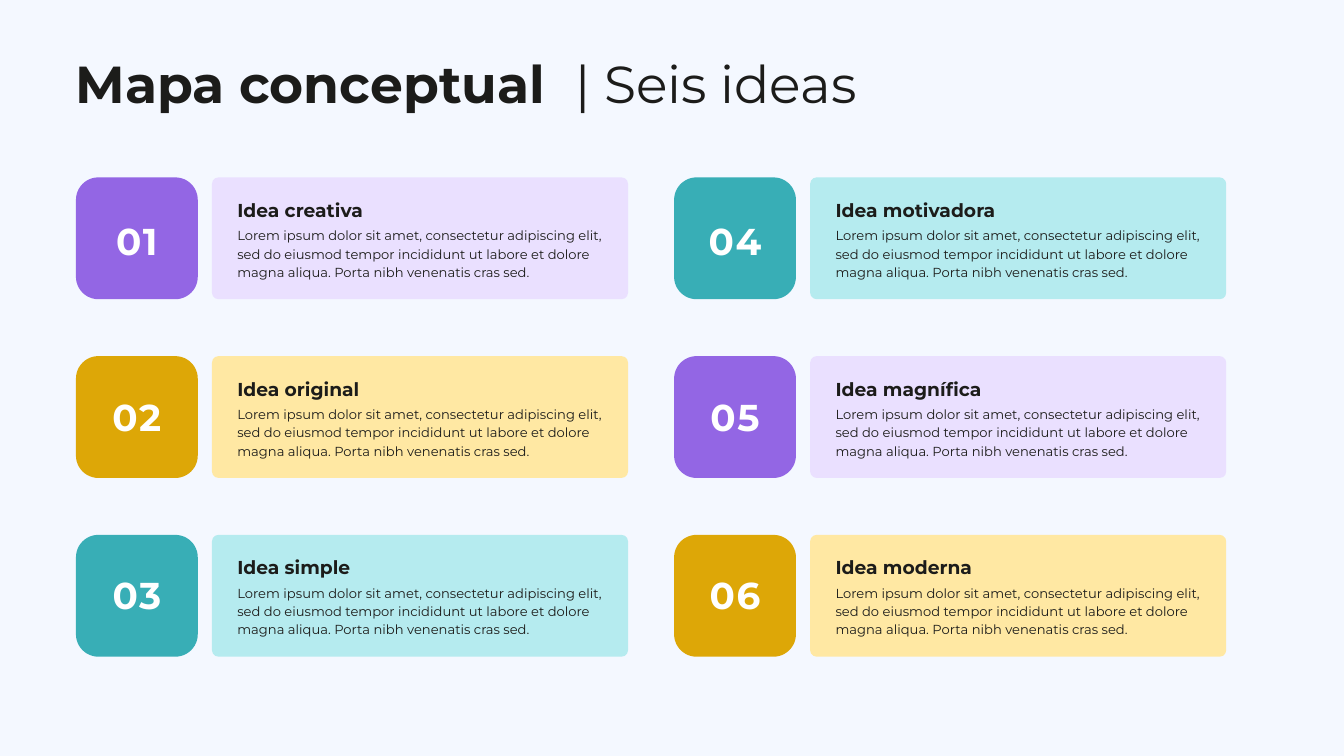
import pptx
import pptx.util
import pptx.dml.color
import pptx.enum.shapes
import pptx.enum.text

Pt = pptx.util.Pt
FONT = "Montserrat"
COLORS = {
    "back": "F4F8FF", "ink": "1C1C1A", "white": "FFFFFF",
    "violet": "9366E4", "lilac": "EAE0FF",
    "gold": "DDA707", "cream": "FFE8A3",
    "teal": "38AEB6", "aqua": "B5EBEF",
}
BODY = ("Lorem ipsum dolor sit amet, consectetur adipiscing elit, sed do "
        "eiusmod tempor incididunt ut labore et dolore magna aliqua. "
        "Porta nibh venenatis cras sed.")
# Ideas run down the first column, then down the second
IDEAS = [
    ("Idea creativa", "violet", "lilac"),
    ("Idea original", "gold", "cream"),
    ("Idea simple", "teal", "aqua"),
    ("Idea motivadora", "teal", "aqua"),
    ("Idea magnífica", "violet", "lilac"),
    ("Idea moderna", "gold", "cream"),
]
ROWS = 3
LEFT, TOP = 81.4, 190.1
COL_STEP, ROW_STEP = 640.9, 191.5
TILE, BAR_DX, BAR_W = 130.5, 145.7, 445.8
TEXT_DX = 172.9


def color(name):
    return pptx.dml.color.RGBColor.from_string(COLORS[name])


def fill_text(shape, text, size, line, bold=False, ink="ink", align="LEFT"):
    frame = shape.text_frame
    frame.text = text
    frame.word_wrap = True
    frame.auto_size = pptx.enum.text.MSO_AUTO_SIZE.NONE
    frame.vertical_anchor = pptx.enum.text.MSO_ANCHOR.TOP
    frame.margin_left = frame.margin_right = 0
    frame.margin_top = frame.margin_bottom = 0
    para = frame.paragraphs[0]
    para.alignment = getattr(pptx.enum.text.PP_ALIGN, align)
    para.line_spacing = Pt(line)
    font = para.runs[0].font
    font.name, font.size, font.bold = FONT, Pt(size), bold
    font.color.rgb = color(ink)
    return para.runs[0]


def add_text(slide, box, *args, **style):
    shape = slide.shapes.add_textbox(*map(Pt, box))
    return fill_text(shape, *args, **style)


def add_panel(slide, box, radius, fill):
    shape = slide.shapes.add_shape(
        pptx.enum.shapes.MSO_SHAPE.ROUNDED_RECTANGLE, *map(Pt, box))
    shape.adjustments[0] = radius / min(box[2:])
    shape.fill.solid()
    shape.fill.fore_color.rgb = color(fill)
    shape.line.fill.background()
    shape.shadow.inherit = False


def add_title(slide):
    title = slide.shapes.title
    title.left, title.top = Pt(81), Pt(63.4)
    title.width, title.height = Pt(555), Pt(62)
    fill_text(title, "Mapa conceptual", 55.7, 59, bold=True)
    add_text(slide, (616.3, 63.4, 555, 62), "| Seis ideas", 55.7, 59)


def add_idea(slide, index, name, dark, light):
    col, row = divmod(index, ROWS)
    x, y = LEFT + col * COL_STEP, TOP + row * ROW_STEP
    # Number tile and text bar
    add_panel(slide, (x, y, TILE, TILE), 24, dark)
    add_panel(slide, (x + BAR_DX, y, BAR_W, TILE), 7, light)
    # Number, set a little lower in the first row
    drop = 32.4 if row else 36
    run = add_text(slide, (x, y + drop, TILE, 52.6), f"{index + 1:02}",
                   40, 56, bold=True, ink="white", align="CENTER")
    run.font._element.set("spc", "170")
    # Heading and description
    add_text(slide, (x + TEXT_DX, y + 18.7, 378, 26), name, 20, 28, bold=True)
    add_text(slide, (x + TEXT_DX, y + 51.3, 392.4, 57.6), BODY, 14, 19.6)


def main():
    deck = pptx.Presentation()
    deck.slide_width, deck.slide_height = Pt(1440), Pt(810)
    slide = deck.slides.add_slide(deck.slide_layouts[5])
    slide.background.fill.solid()
    slide.background.fill.fore_color.rgb = color("back")
    add_title(slide)
    for index, idea in enumerate(IDEAS):
        add_idea(slide, index, *idea)
    deck.save("out.pptx")


if __name__ == "__main__":
    main()
